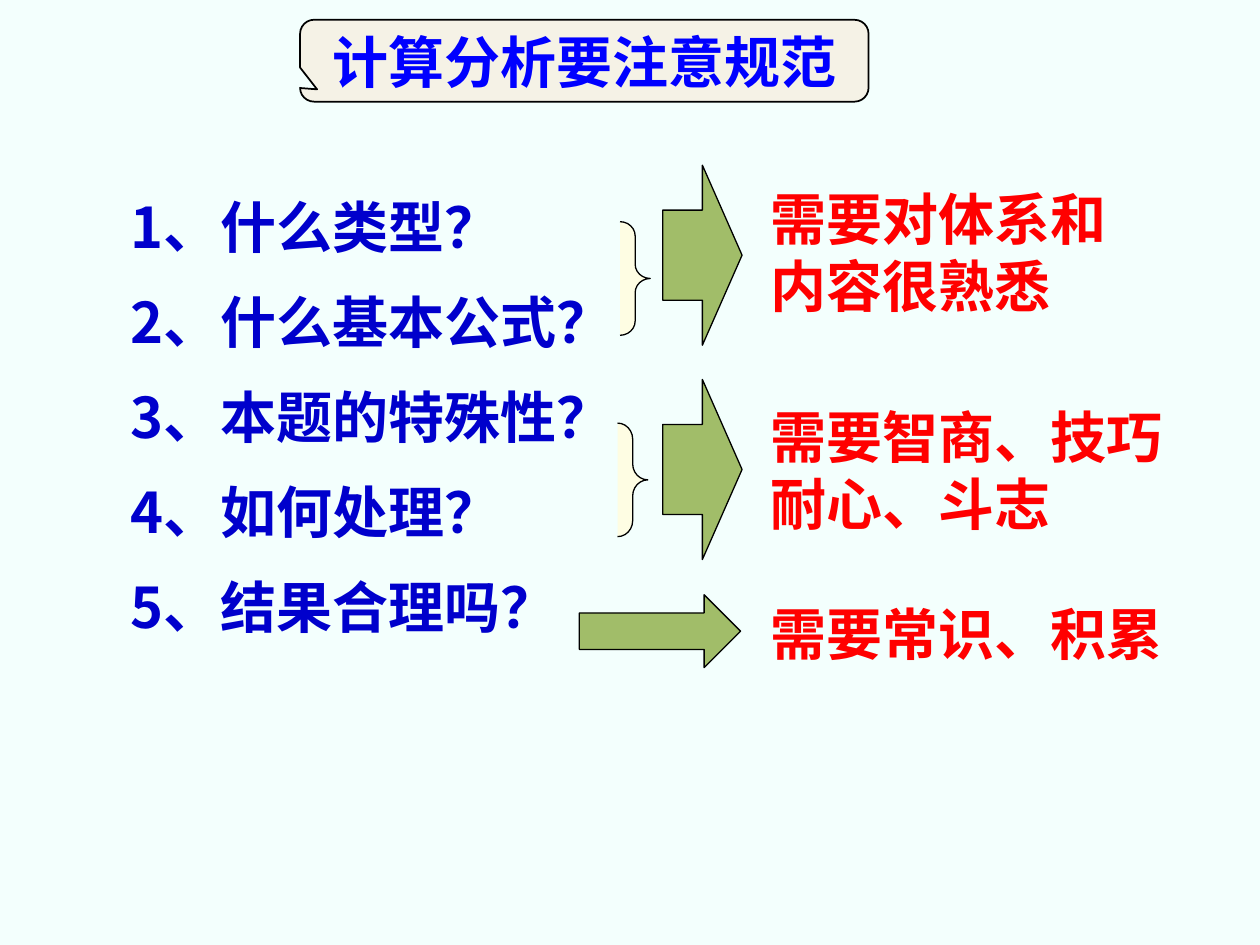
from dataclasses import dataclass

from pptx import Presentation, util as u
from pptx.dml.color import RGBColor
from pptx.enum import shapes as kinds, text as t


@dataclass(frozen=True)
class Theme:
    background: str = "F3FFFD"
    banner: str = "F5F2E6"
    arrow: str = "A1BD69"
    brace: str = "FEFDE3"
    line: str = "000000"
    heading: str = "0000FF"
    question: str = "0000CC"
    need: str = "FF0000"
    heading_font: str = "Times New Roman"
    body_font: str = "Noto Sans CJK SC"
    size: float = 32
    leading: float = 38.3
    gap: float = 16


theme = Theme()
heading = "计算分析要注意规范"
heading_area = (6.05, 0.4, 11.46, 1.65)
questions = ["什么类型?", "什么基本公式?", "本题的特殊性?", "如何处理?", "结果合理吗?"]
questions = [f"{number}、{question.replace('?', '？')}" for number, question in enumerate(questions, 1)]
questions_area = (1.12, 3.76, 12.6, 9.83)
needs = [
    ("需要对体系和内容很熟悉", (15.29, 3.4, 7.9, 3.35), (13.36, 3.33, 1.6, 3.63)),
    ("需要智商、技巧耐心、斗志", (15.29, 7.8, 8.81, 3.35), (13.36, 7.65, 1.6, 3.63)),
    ("需要常识、积累", (15.29, 11.94, 8.81, 1.63), (11.68, 11.99, 3.25, 1.47)),
]
braces = [((12.5, 4.47, 0.61, 2.29), 0.47), ((12.45, 8.53, 0.61, 2.29), 0.53)]


def color(value):
    return RGBColor.from_string(value)


def place(area):
    return [u.Cm(value) for value in area]


def write(frame, lines, *, ink, font=theme.body_font, align=t.PP_ALIGN.LEFT,
          anchor=t.MSO_ANCHOR.MIDDLE, leading=None, before=0, indent=None):
    frame.word_wrap = True
    frame.auto_size = t.MSO_AUTO_SIZE.NONE
    frame.vertical_anchor = anchor
    for index, line in enumerate(lines):
        paragraph = frame.paragraphs[0] if index == 0 else frame.add_paragraph()
        paragraph.alignment = align
        paragraph.space_before = u.Pt(before if index else 0)
        if leading:
            paragraph.line_spacing = u.Pt(leading)
        if indent:
            margin, first = place(indent)
            properties = paragraph._p.get_or_add_pPr()
            properties.set("marL", str(margin))
            properties.set("indent", str(first))
        run = paragraph.add_run()
        run.text = line
        run.font.name = font
        run.font.size = u.Pt(theme.size)
        run.font.bold = True
        run.font.color.rgb = color(ink)


def draw(kind, area, fill, weight, adjustments):
    figure = slide.shapes.add_shape(kind, *place(area))
    figure.shadow.inherit = False
    figure.fill.solid()
    figure.fill.fore_color.rgb = color(fill)
    figure.line.color.rgb = color(theme.line)
    figure.line.width = u.Pt(weight)
    for index, value in enumerate(adjustments):
        figure.adjustments[index] = value


deck = Presentation()
deck.slide_width, deck.slide_height = u.Cm(25.4), u.Cm(19.05)
slide = deck.slides.add_slide(deck.slide_layouts[5])
slide.background.fill.solid()
slide.background.fill.fore_color.rgb = color(theme.background)

draw(kinds.MSO_SHAPE.ROUNDED_RECTANGULAR_CALLOUT, heading_area, theme.banner, 1, (-0.47, 0.35, 0.17))
title = slide.shapes.title
title.left, title.top, title.width, title.height = place(heading_area)
write(title.text_frame, [heading], ink=theme.heading, font=theme.heading_font, align=t.PP_ALIGN.CENTER)
tree = title._element.getparent()
tree.append(title._element)

question_list = slide.shapes.add_textbox(*place(questions_area))
write(question_list.text_frame, questions, ink=theme.question, anchor=t.MSO_ANCHOR.TOP,
      leading=theme.leading, before=theme.gap, indent=(2.06, -0.79))

for need, need_area, arrow_area in needs:
    draw(kinds.MSO_SHAPE.RIGHT_ARROW, arrow_area, theme.arrow, 0.75, (0.5, 0.5))
    need_note = slide.shapes.add_textbox(*place(need_area))
    write(need_note.text_frame, [need], ink=theme.need, leading=theme.leading)

for brace_area, curl in braces:
    draw(kinds.MSO_SHAPE.RIGHT_BRACE, brace_area, theme.brace, 0.75, (curl, 0.5))

deck.save("out.pptx")
